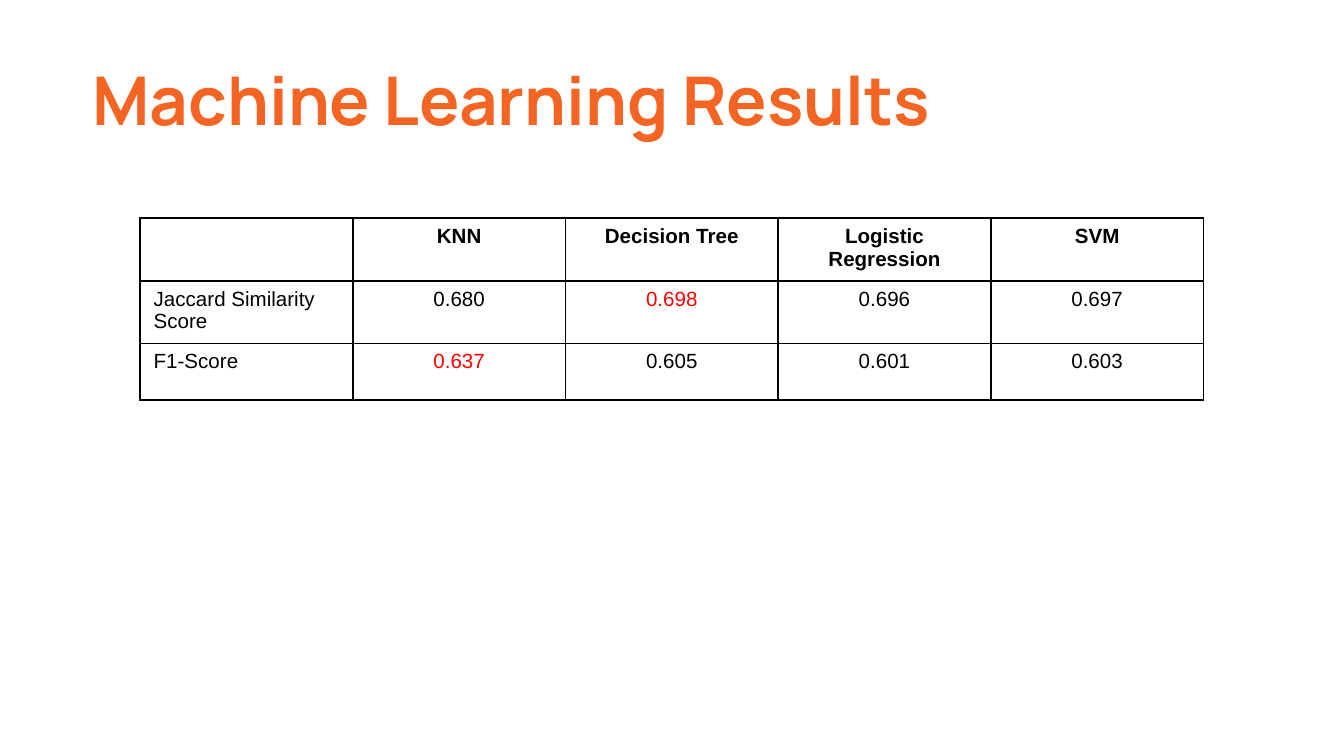
from lxml.etree import SubElement
from pptx import Presentation
from pptx.dml.color import RGBColor
from pptx.enum.text import MSO_ANCHOR as ANCHOR, PP_ALIGN as ALIGN
from pptx.oxml.ns import qn
from pptx.util import Cm, Pt

COLORS = {"title": "F46524", "text": "000000", "best": "FF0000", "border": "000000"}
HEADERS = ["", "KNN", "Decision Tree", "Logistic Regression", "SVM"]
SCORES = {
    "Jaccard Similarity Score": [0.680, 0.698, 0.696, 0.697],
    "F1-Score": [0.637, 0.605, 0.601, 0.603],
}


def write(tf, text, font="Arial", size=11, color="text", bold=False, align=ALIGN.LEFT,
          margin=Cm(0.18), anchor=ANCHOR.TOP):
    tf.word_wrap = True
    tf.vertical_anchor = anchor
    tf.margin_left = tf.margin_right = tf.margin_top = tf.margin_bottom = margin
    p = tf.paragraphs[0]
    p.alignment = align
    r = p.add_run()
    r.text = text
    r.font.name = font
    r.font.size = Pt(size)
    r.font.bold = bold
    r.font.color.rgb = RGBColor.from_string(COLORS[color])


def add_title(slide, text):
    sp = slide.shapes.add_textbox(Cm(1.5), Cm(0.74), Cm(20.62), Cm(2.13))
    write(sp.text_frame, text, font="Manrope", size=36, color="title", bold=True,
          margin=Cm(0.25), anchor=ANCHOR.BOTTOM)


def style_cell(cell):
    tc_pr = cell._tc.get_or_add_tcPr()
    for side in ("a:lnL", "a:lnR", "a:lnT", "a:lnB"):
        ln = SubElement(tc_pr, qn(side), w=str(Pt(1)))
        fill = SubElement(ln, qn("a:solidFill"))
        SubElement(fill, qn("a:srgbClr"), val=COLORS["border"])
    cell.fill.background()


def fill_cell(cell, text, **fmt):
    style_cell(cell)
    if text:
        write(cell.text_frame, text, **fmt)


def add_score_table(slide):
    rows, cols = len(SCORES) + 1, len(HEADERS)
    col_w, row_h = Cm(4.02), Cm(1.07)
    table = slide.shapes.add_table(
        rows, cols, Cm(2.65), Cm(4.12), col_w * cols, row_h * rows).table
    table.first_row = table.horz_banding = False
    for col, header in enumerate(HEADERS):
        fill_cell(table.cell(0, col), header, bold=True, align=ALIGN.CENTER)
    for row, (metric, scores) in enumerate(SCORES.items(), 1):
        fill_cell(table.cell(row, 0), metric)
        for col, score in enumerate(scores, 1):
            color = "best" if score == max(scores) else "text"
            fill_cell(table.cell(row, col), f"{score:.3f}", color=color, align=ALIGN.CENTER)


def main():
    prs = Presentation()
    prs.slide_width, prs.slide_height = Cm(25.4), Cm(14.29)
    slide = prs.slides.add_slide(prs.slide_layouts[6])
    add_title(slide, "Machine Learning Results")
    add_score_table(slide)
    prs.save("out.pptx")


if __name__ == "__main__":
    main()
